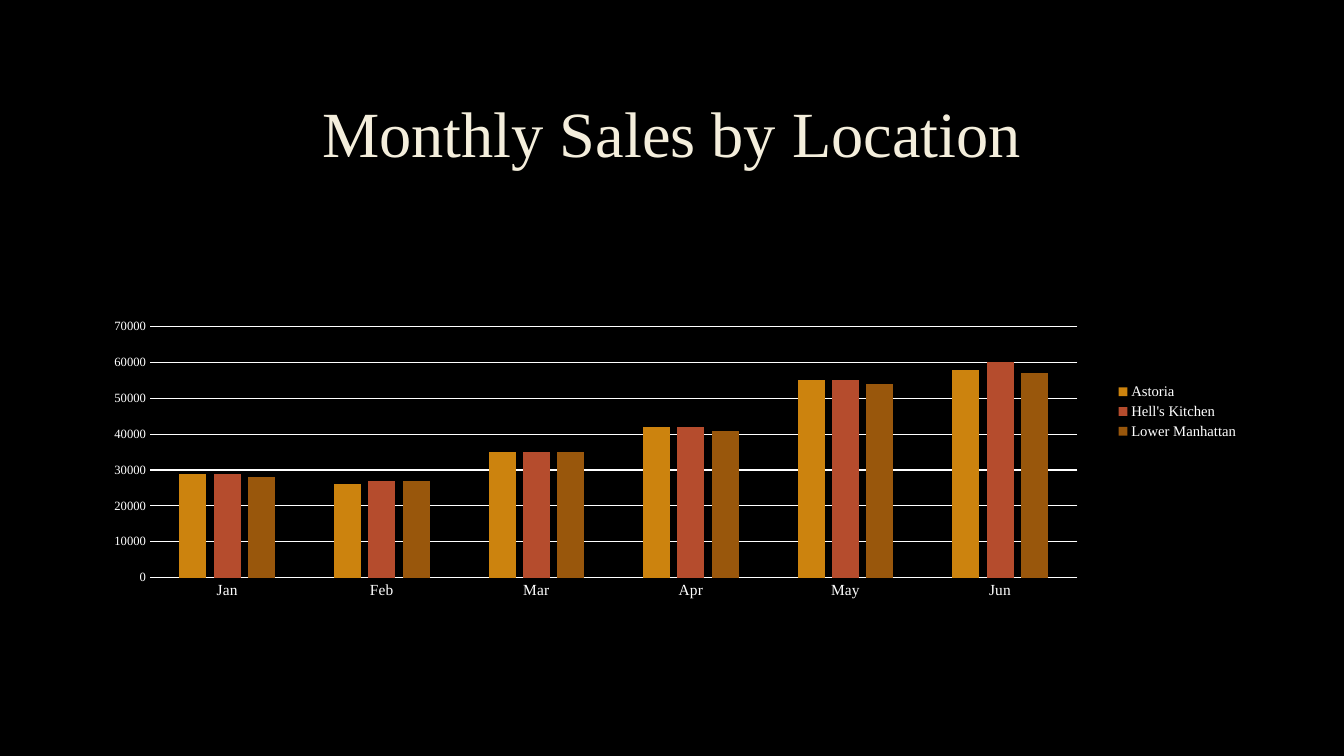
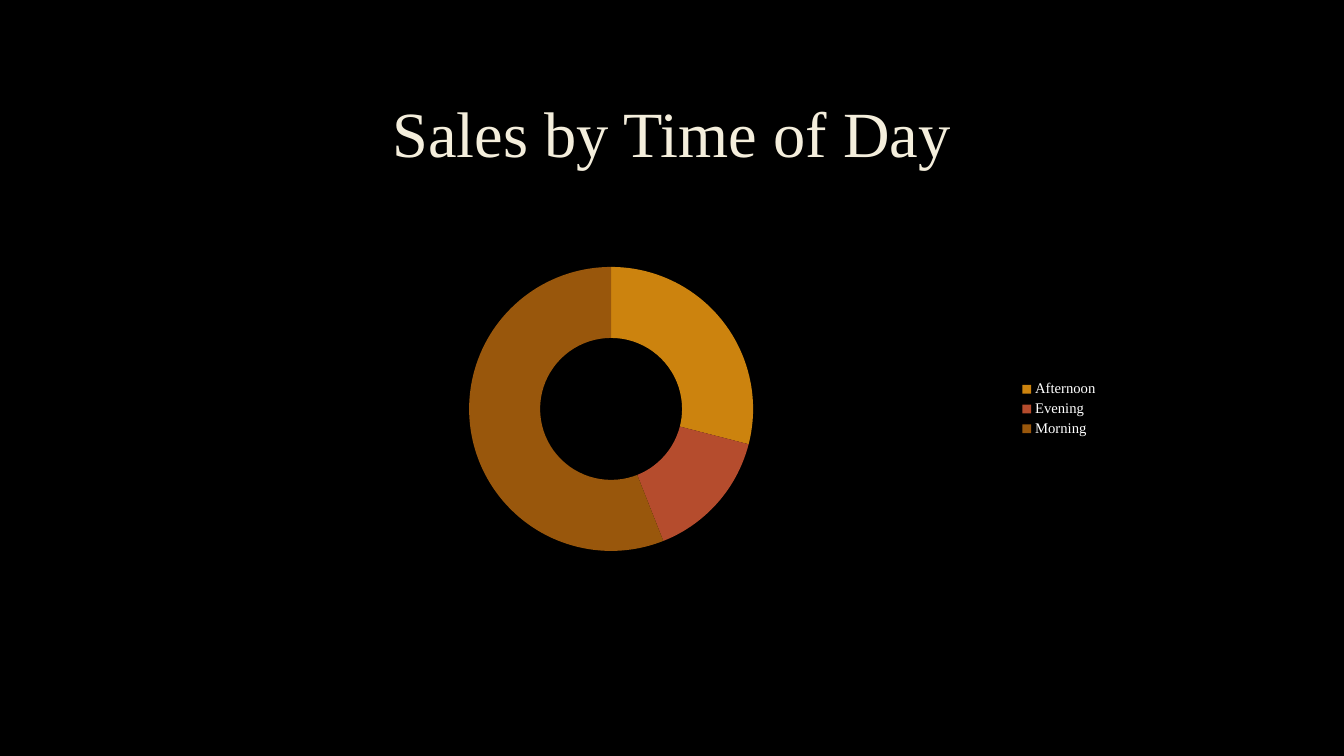
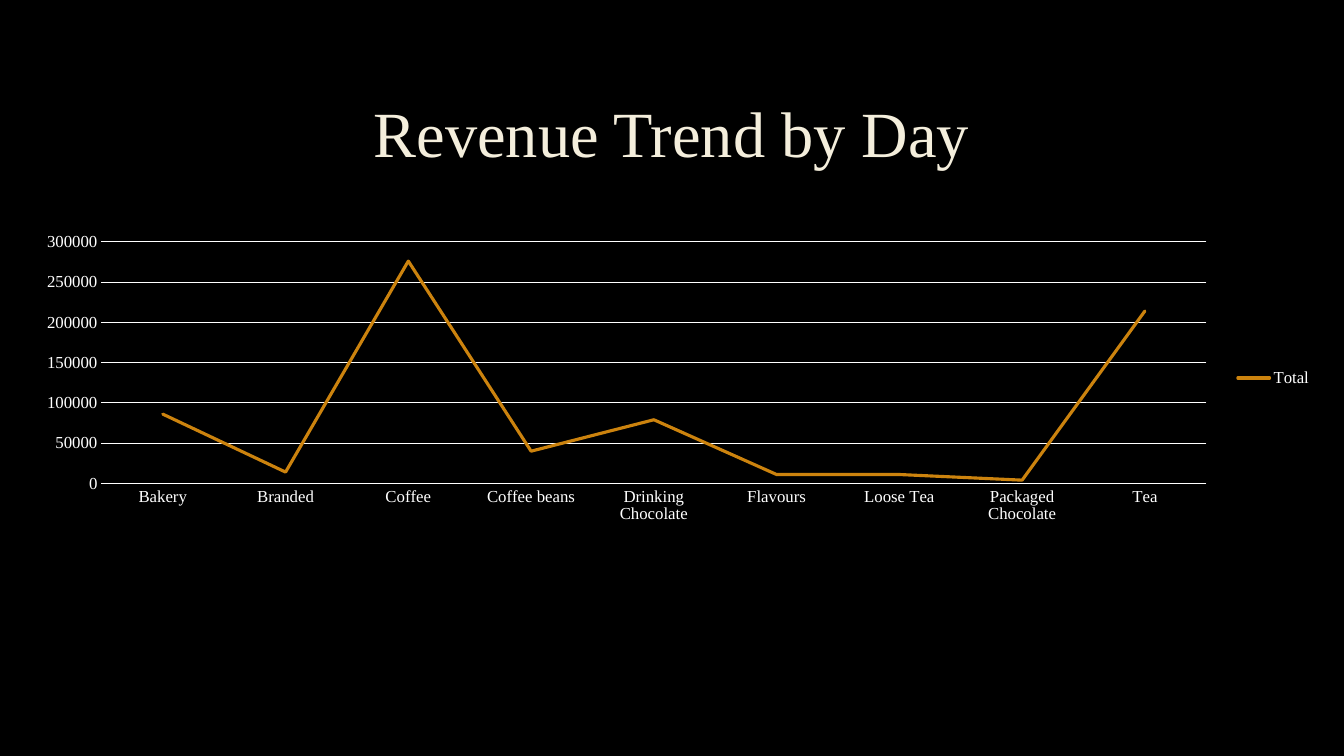
from lxml import etree
from pptx import Presentation
from pptx.chart.data import CategoryChartData
from pptx.dml.color import RGBColor
from pptx.enum.chart import XL_CHART_TYPE as Chart, XL_LEGEND_POSITION as LegendAt, XL_TICK_MARK as Tick
from pptx.enum.text import MSO_ANCHOR, PP_ALIGN
from pptx.oxml import parse_xml
from pptx.oxml.ns import nsdecls, qn
from pptx.util import Emu, Pt

FONT = "Times New Roman"
BLACK, WHITE, CREAM, GREY = "000000", "FFFFFF", "F4EEDC", "404040"
PALETTE = ["CC830E", "B54C2D", "99570C"]
TITLE_BOX = (96, 64, 1087, 132)

SLIDES = [
    {
        "title": "Monthly Sales by Location",
        "kind": Chart.COLUMN_CLUSTERED,
        "box": (90, 208, 1100, 368),
        "categories": ["Jan", "Feb", "Mar", "Apr", "May", "Jun"],
        "series": {
            "Astoria": [29000, 26000, 35000, 42000, 55000, 58000],
            "Hell's Kitchen": [29000, 27000, 35000, 42000, 55000, 60000],
            "Lower Manhattan": [28000, 27000, 35000, 41000, 54000, 57000],
        },
        "legend_size": 10.5,
        "axes": {"category_size": 11, "value_size": 9, "top": 70000, "step": 10000},
        "plot": {"x": 0.048, "y": 0.28, "w": 0.803, "h": 0.65},
    },
    {
        "title": "Sales by Time of Day",
        "kind": Chart.DOUGHNUT,
        "box": (195, 241, 861, 297),
        "categories": ["Afternoon", "Evening", "Morning"],
        "series": {"Series 1": [29, 15, 56]},
        "legend_size": 10.5,
    },
    {
        "title": "Revenue Trend by Day",
        "kind": Chart.LINE,
        "box": (20, 216, 1240, 288),
        "categories": ["Bakery", "Branded", "Coffee", "Coffee beans", "Drinking Chocolate",
                       "Flavours", "Loose Tea", "Packaged Chocolate", "Tea"],
        "series": {"Total": [86000, 14000, 276000, 40000, 79000, 11000, 11000, 4000, 214000]},
        "legend_size": 12,
        "axes": {"category_size": 12, "value_size": 12, "top": 300000, "step": 50000},
    },
]


def px(*lengths):
    """Turn pixels (96 to the inch) into EMU."""
    return [Emu(length * 9525) for length in lengths]


def rgb(hex_string):
    return RGBColor.from_string(hex_string)


def style_font(font, size, color=WHITE):
    font.name, font.size = FONT, Pt(size)
    font.color.rgb = rgb(color)


def style_line(line, color, width):
    line.color.rgb = rgb(color)
    line.width = Pt(width)


def paint(fill, color):
    fill.solid()
    fill.fore_color.rgb = rgb(color)


def add_title(slide, title):
    frame = slide.shapes.add_textbox(*px(*TITLE_BOX)).text_frame
    frame.word_wrap = True
    frame.vertical_anchor = MSO_ANCHOR.MIDDLE
    paragraph = frame.paragraphs[0]
    paragraph.alignment = PP_ALIGN.CENTER
    paragraph.line_spacing = 0.9
    run = paragraph.add_run()
    run.text = title
    style_font(run.font, 46, CREAM)
    outline = parse_xml(
        f'<a:ln {nsdecls("a")} w="{Pt(0.75)}"><a:solidFill><a:srgbClr val="{GREY}">'
        '<a:alpha val="10000"/></a:srgbClr></a:solidFill></a:ln>')
    run.font._element.insert(0, outline)


def style_axes(chart, category_size, value_size, top, step):
    months, amounts = chart.category_axis, chart.value_axis
    for axis, size in ((months, category_size), (amounts, value_size)):
        axis.major_tick_mark = axis.minor_tick_mark = Tick.NONE
        style_font(axis.tick_labels.font, size)
    style_line(months.format.line, WHITE, 0.75)
    amounts.format.line.fill.background()
    amounts.minimum_scale, amounts.maximum_scale, amounts.major_unit = 0, top, step
    amounts.has_major_gridlines = True
    style_line(amounts.major_gridlines.format.line, WHITE, 0.75)


def place_plot(chart, sides):
    """Fix the inner plot area, in fractions of the chart."""
    area = chart._chartSpace.chart.plotArea
    for old in area.findall(qn("c:layout")):
        area.remove(old)
    layout = parse_xml(f'<c:layout {nsdecls("c")}><c:manualLayout/></c:layout>')
    settings = {"layoutTarget": "inner", "xMode": "edge", "yMode": "edge", **sides}
    for tag, value in settings.items():
        etree.SubElement(layout[0], qn(f"c:{tag}")).set("val", str(value))
    area.insert(0, layout)


def color_series(plot, kind):
    plot.vary_by_categories = kind == Chart.DOUGHNUT
    if kind == Chart.DOUGHNUT:
        for index, color in enumerate(PALETTE):
            share = plot.series[0].points[index].format
            paint(share.fill, color)
            share.line.fill.background()
        return
    for series, color in zip(plot.series, PALETTE):
        if kind == Chart.LINE:
            series.smooth = False
            style_line(series.format.line, color, 2.25)
            series.format.line._ln.set("cap", "rnd")
        else:
            paint(series.format.fill, color)
    if kind == Chart.COLUMN_CLUSTERED:
        plot.gap_width, plot.overlap = 219, -27


def add_sales_chart(slide, content):
    data = CategoryChartData()
    data.categories = content["categories"]
    for name, values in content["series"].items():
        data.add_series(name, values)
    chart = slide.shapes.add_chart(content["kind"], *px(*content["box"]), data).chart
    chart.has_title = False
    style_font(chart.font, 10)
    chart.has_legend = True
    chart.legend.position = LegendAt.RIGHT
    chart.legend.include_in_layout = False
    style_font(chart.legend.font, content["legend_size"])
    color_series(chart.plots[0], content["kind"])
    if "axes" in content:
        style_axes(chart, **content["axes"])
    if "plot" in content:
        place_plot(chart, content["plot"])


def main():
    deck = Presentation()
    deck.slide_width, deck.slide_height = px(1280, 720)
    for content in SLIDES:
        slide = deck.slides.add_slide(deck.slide_layouts[6])
        paint(slide.background.fill, BLACK)
        add_title(slide, content["title"])
        add_sales_chart(slide, content)
    deck.save("out.pptx")


if __name__ == "__main__":
    main()
